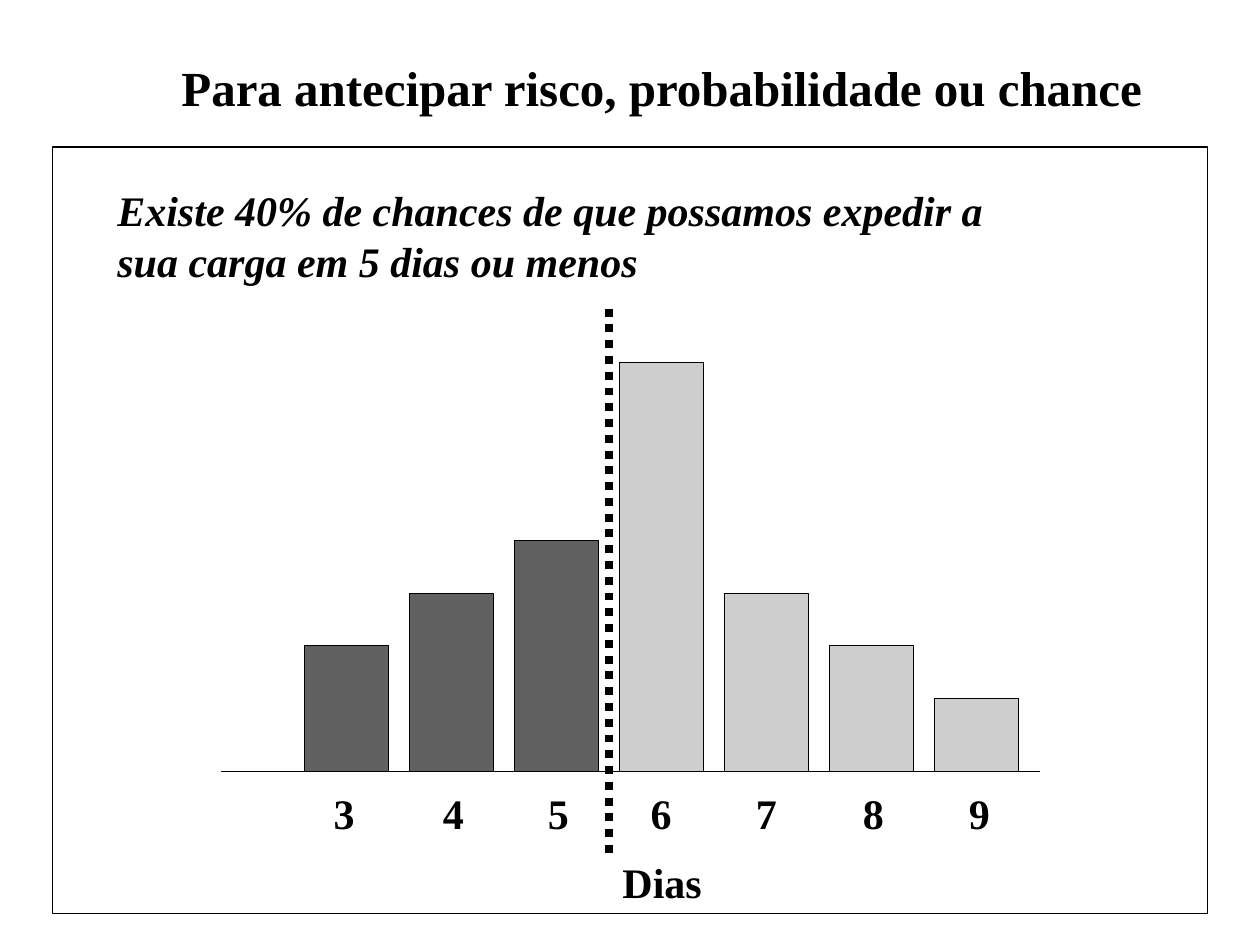
from typing import NamedTuple

from lxml import etree
from pptx import Presentation, util as u
from pptx.dml.color import RGBColor
from pptx.enum import dml, shapes, text
from pptx.oxml.ns import qn

# The slide is a grid of 120 columns by 90 rows, twelve to the inch.
CELL = 1 / 12
FONT = "Times New Roman"
BLACK, DARK, LIGHT = "000000", "616161", "CECECE"
BASE = 73.5
FIRST, PITCH, WIDE = 29, 10, 8


class Bar(NamedTuple):
    day: str
    rows: float
    fill: str
    inset: float  # columns from the bar's left edge to its label


BARS = [
    Bar("3", 12, DARK, 1.6),
    Bar("4", 17, DARK, 2),
    Bar("5", 22, DARK, 2),
    Bar("6", 39, LIGHT, 1.8),
    Bar("7", 17, LIGHT, 1.8),
    Bar("8", 12, LIGHT, 2),
    Bar("9", 7, LIGHT, 2.1),
]


def grid(*cells: float) -> list[int]:
    return [u.Inches(c * CELL) for c in cells]


def paint(fmt, tone: str) -> None:
    """Give a fill or a font's fill one solid colour."""
    fmt.solid()
    fmt.fore_color.rgb = RGBColor.from_string(tone)


def box(slide, x: float, y: float, w: float, h: float, fill: str | None = None) -> None:
    rect = slide.shapes.add_shape(shapes.MSO_SHAPE.RECTANGLE, *grid(x, y, w, h))
    rect.shadow.inherit = False
    if fill:
        paint(rect.fill, fill)
    else:
        rect.fill.background()
    paint(rect.line.fill, BLACK)
    rect.line.width = u.Pt(0.75)


def rule(slide, x1: float, y1: float, x2: float, y2: float,
         width: float = 0.75, dash=None) -> None:
    line = slide.shapes.add_connector(
        shapes.MSO_CONNECTOR.STRAIGHT, *grid(x1, y1, x2, y2))
    paint(line.line.fill, BLACK)
    line.line.width = u.Pt(width)
    if dash:
        line.line.dash_style = dash
    etree.SubElement(line._element.spPr, qn("a:effectLst"))


def write(slide, words: str, x: float, y: float, w: float, h: float, *,
          size: float = 24, italic: bool = False, wrap: bool = False) -> None:
    frame = slide.shapes.add_textbox(*grid(x, y, w, h)).text_frame
    frame.word_wrap = wrap
    frame.auto_size = text.MSO_AUTO_SIZE.SHAPE_TO_FIT_TEXT
    run = frame.paragraphs[0].add_run()
    run.text = words
    font = run.font
    font.name, font.size = FONT, u.Pt(size)
    font.bold, font.italic = True, italic
    paint(font.fill, BLACK)


def main() -> None:
    deck = Presentation()
    deck.slide_width, deck.slide_height = grid(120, 90)
    slide = deck.slides.add_slide(deck.slide_layouts[6])

    rule(slide, 21, BASE, 99, BASE)
    for i, bar in enumerate(BARS):
        left = FIRST + i * PITCH
        box(slide, left, BASE - bar.rows, WIDE, bar.rows, bar.fill)
        write(slide, bar.day, left + bar.inset, 74.4, 4.3, 6)
    write(slide, "Dias", 58.1, 81, 10, 6)
    rule(slide, 58, 29.4, 58, 81.5, 4.5, dml.MSO_LINE.ROUND_DOT)

    write(slide, "Existe 40% de chances de que possamos expedir a "
          "sua carga em 5 dias ou menos", 10, 17, 91.2, 10.8,
          italic=True, wrap=True)
    write(slide, "Para antecipar risco, probabilidade ou chance",
          16.1, 4.9, 94, 6.8, size=28)
    box(slide, 5, 14, 110, 73)

    deck.save("out.pptx")


if __name__ == "__main__":
    main()
